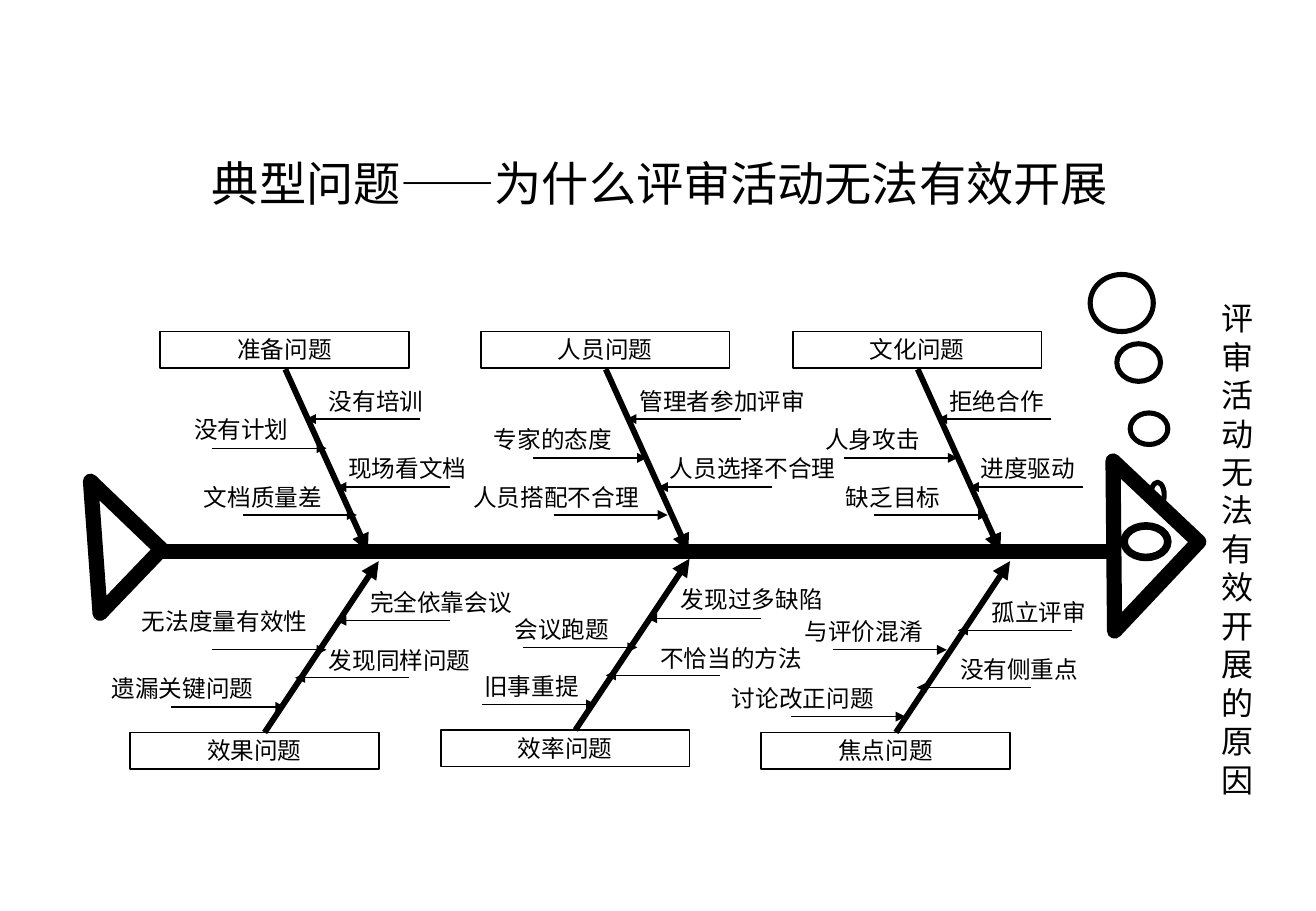
from lxml.etree import SubElement
from pptx import Presentation
from pptx.dml.color import RGBColor
from pptx.enum.shapes import MSO_CONNECTOR, MSO_SHAPE
from pptx.enum.text import MSO_ANCHOR, MSO_AUTO_SIZE, PP_ALIGN
from pptx.oxml.ns import qn
from pptx.util import Inches, Pt

BLACK = RGBColor(0x00, 0x00, 0x00)
WHITE = RGBColor(0xFF, 0xFF, 0xFF)
THEME = {
    "title": {"name": "Arial", "size": Pt(28)},
    "category": {"name": "Times New Roman", "size": Pt(14)},
    "cause": {"name": "Arial", "size": Pt(14)},
    "effect": {"name": "Arial", "size": Pt(19)},
    "spine": Pt(9), "eye": Pt(4.5), "bubble": Pt(3),
    "bone": Pt(3.5), "box": Pt(1), "twig": Pt(0.75),
}


def set_text(sp, text, style, align, anchor=MSO_ANCHOR.TOP, wrap=True,
             inset=(0.1, 0.05)):
    tf = sp.text_frame
    margin_x, margin_y = Inches(inset[0]), Inches(inset[1])
    frame = {"auto_size": MSO_AUTO_SIZE.NONE, "word_wrap": wrap,
             "vertical_anchor": anchor,
             "margin_left": margin_x, "margin_right": margin_x,
             "margin_top": margin_y, "margin_bottom": margin_y}
    for name, value in frame.items():
        setattr(tf, name, value)
    p = tf.paragraphs[0]
    p.alignment = align
    r = p.add_run()
    r.text = text
    for name, value in THEME[style].items():
        setattr(r.font, name, value)
    r.font.color.rgb = BLACK


def add_line(shapes, x1, y1, x2, y2, width, arrow=True):
    line = shapes.add_connector(MSO_CONNECTOR.STRAIGHT, Inches(x1), Inches(y1),
                                Inches(x2), Inches(y2))
    line.line.color.rgb = BLACK
    line.line.width = THEME[width]
    if arrow:
        SubElement(line.line._get_or_add_ln(), qn("a:tailEnd"), type="triangle")
    SubElement(line._element.spPr, qn("a:effectLst"))


prs = Presentation()
prs.slide_width, prs.slide_height = Inches(10.84), Inches(7.5)
s = prs.slides.add_slide(prs.slide_layouts[5])

# Title
title = s.shapes.title
title.left, title.top = Inches(0.56), Inches(1.23)
title.width, title.height = Inches(9.75), Inches(0.55)
set_text(title, "典型问题——为什么评审活动无法有效开展", "title",
         PP_ALIGN.CENTER, MSO_ANCHOR.MIDDLE)

# Fish: spine, head, eye, bubbles and tail
add_line(s.shapes, 1.32, 4.54, 9.13, 4.54, "spine", arrow=False)
fish_parts = [
    (MSO_SHAPE.RIGHT_TRIANGLE, 8.69, 3.99, 0.97, 1.01, 223.3, "spine"),
    (MSO_SHAPE.OVAL, 9.26, 4.33, 0.36, 0.26, 0, "eye"),
    (MSO_SHAPE.OVAL, 8.98, 2.26, 0.52, 0.47, 0, "bubble"),
    (MSO_SHAPE.OVAL, 9.2, 2.83, 0.36, 0.31, 0, "bubble"),
    (MSO_SHAPE.OVAL, 9.31, 3.4, 0.31, 0.26, 0, "bubble"),
    (MSO_SHAPE.OVAL, 9.48, 3.97, 0.11, 0.21, 0, "bubble"),
    (MSO_SHAPE.RIGHT_TRIANGLE, 0.38, 4.14, 0.81, 0.73, 223.8, "spine"),
]
for kind, x, y, w, h, angle, width in fish_parts:
    sp = s.shapes.add_shape(kind, Inches(x), Inches(y), Inches(w), Inches(h))
    sp.shadow.inherit = False
    sp.rotation = angle
    sp.fill.background()
    sp.line.color.rgb = BLACK
    sp.line.width = THEME[width]

# Bones: category, box left, box top, then causes as
# (text, label left, label top, twig tip x, twig y, side of the bone)
LEFT, RIGHT = -1, 1
bones = [
    ("人员问题", 3.96, 2.73, [
        ("管理者参加评审", 5.17, 3.14, 5.16, 3.45, RIGHT),
        ("人员选择不合理", 5.42, 3.69, 5.42, 4.01, RIGHT),
        ("专家的态度", 3.97, 3.45, 5.33, 3.77, LEFT),
        ("人员搭配不合理", 3.8, 3.93, 5.5, 4.24, LEFT)]),
    ("文化问题", 6.53, 2.73, [
        ("拒绝合作", 7.72, 3.14, 7.72, 3.45, RIGHT),
        ("进度驱动", 7.98, 3.69, 7.98, 4.01, RIGHT),
        ("人身攻击", 6.7, 3.45, 7.89, 3.77, LEFT),
        ("缺乏目标", 6.87, 3.93, 8.14, 4.24, LEFT)]),
    ("效果问题", 1.07, 6.03, [
        ("完全依靠会议", 2.95, 4.79, 2.77, 5.11, RIGHT),
        ("发现同样问题", 2.61, 5.27, 2.43, 5.58, RIGHT),
        ("无法度量有效性", 1.07, 4.95, 2.69, 5.35, LEFT),
        ("遗漏关键问题", 0.82, 5.5, 2.35, 5.82, LEFT)]),
    ("效率问题", 3.63, 6.01, [
        ("发现过多缺陷", 5.51, 4.77, 5.33, 5.09, RIGHT),
        ("不恰当的方法", 5.34, 5.25, 4.99, 5.56, RIGHT),
        ("会议跑题", 4.14, 5.01, 5.25, 5.33, LEFT),
        ("旧事重提", 3.89, 5.48, 4.91, 5.8, LEFT)]),
    ("焦点问题", 6.27, 6.03, [
        ("孤立评审", 8.07, 4.87, 7.89, 5.19, RIGHT),
        ("没有侧重点", 7.81, 5.34, 7.55, 5.66, RIGHT),
        ("与评价混淆", 6.53, 5.03, 7.8, 5.35, LEFT),
        ("讨论改正问题", 5.93, 5.58, 7.46, 5.9, LEFT)]),
    ("准备问题", 1.32, 2.73, [
        ("没有培训", 2.61, 3.14, 2.52, 3.45, RIGHT),
        ("现场看文档", 2.77, 3.69, 2.77, 4.01, RIGHT),
        ("没有计划", 1.5, 3.37, 2.69, 3.69, LEFT),
        ("文档质量差", 1.58, 3.93, 2.94, 4.24, LEFT)]),
]
SPINE_Y, TWIG_LENGTH, CHAR_WIDTH = 4.54, 0.94, 0.195
for category, x, y, causes in bones:
    shapes = s.shapes.add_group_shape().shapes
    box = shapes.add_shape(MSO_SHAPE.RECTANGLE, Inches(x), Inches(y),
                           Inches(2.05), Inches(0.3))
    box.shadow.inherit = False
    box.fill.solid()
    box.fill.fore_color.rgb = WHITE
    box.line.color.rgb = BLACK
    box.line.width = THEME["box"]
    set_text(box, category, "category", PP_ALIGN.CENTER, inset=(0.06, 0.03))

    if y < SPINE_Y:
        add_line(shapes, x + 1.03, y + 0.31, x + 1.71, SPINE_Y, "bone")
    else:
        add_line(shapes, x + 1.11, y, x + 2.05, y - 1.41, "bone")

    for cause, label_x, label_y, tip_x, tip_y, side in causes:
        add_line(shapes, tip_x + side * TWIG_LENGTH, tip_y, tip_x, tip_y, "twig")
        label = shapes.add_textbox(Inches(label_x), Inches(label_y),
                                   Inches(0.2 + CHAR_WIDTH * len(cause)),
                                   Inches(0.34))
        set_text(label, cause, "cause", PP_ALIGN.LEFT, wrap=False)

# Effect, one character per line
effect = s.shapes.add_textbox(Inches(9.94), Inches(2.41), Inches(0.51), Inches(4.22))
set_text(effect, "评审活动无法有效开展的原因", "effect", PP_ALIGN.CENTER)

prs.save("out.pptx")
